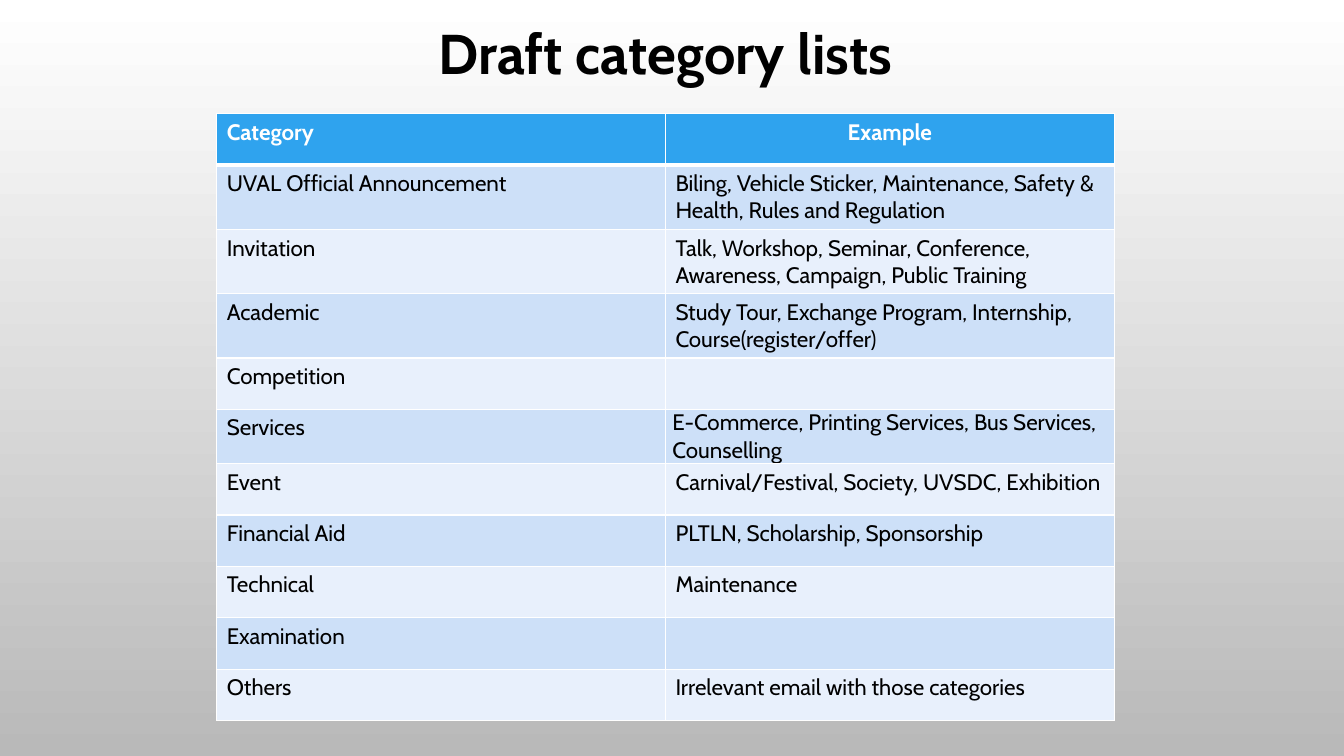
from lxml import etree
from pptx import Presentation
from pptx.dml.color import RGBColor
from pptx.enum.text import MSO_ANCHOR, PP_ALIGN
from pptx.oxml.ns import qn
from pptx.util import Inches, Pt

CENTER, LEFT, MIDDLE = PP_ALIGN.CENTER, PP_ALIGN.LEFT, MSO_ANCHOR.MIDDLE

# Content
TITLE = "Draft category lists"
ROWS = [
    ("Category", "Example"),
    ("UVAL Official Announcement",
     "Biling, Vehicle Sticker, Maintenance, Safety & Health, Rules and Regulation"),
    ("Invitation",
     "Talk, Workshop, Seminar, Conference, Awareness, Campaign, Public Training"),
    ("Academic", "Study Tour, Exchange Program, Internship, Course(register/offer)"),
    ("Competition", ""),
    ("Services", "E-Commerce, Printing Services, Bus Services, Counselling"),
    ("Event", "Carnival/Festival, Society, UVSDC, Exhibition"),
    ("Financial Aid", "PLTLN, Scholarship, Sponsorship"),
    ("Technical", "Maintenance"),
    ("Examination", ""),
    ("Others", "Irrelevant email with those categories"),
]
TALL_ROWS = (1, 2, 3)
TIGHT_CELL = (5, 1)

# Style
WIDTH, HEIGHT = 13.33, 7.5
LEFT_EDGE, TOP_EDGE, COL_WIDTH = 2.15, 1.13, 4.45
ROW_HEIGHT, TALL_HEIGHT = 0.51, 0.6
HEADER_FILL, BANDS = "2FA3EE", ("E8F0FC", "CDE0F8")
HEADER_FONT = {"name": "Cabin", "size": Pt(16), "bold": True}
BODY_FONT = {**HEADER_FONT, "bold": False}
TITLE_FONT = {**HEADER_FONT, "size": Pt(40)}
TIGHT_MARGINS = {"margin_left": Inches(0.07), "margin_right": Inches(0.07),
                 "margin_top": 0, "margin_bottom": 0}


def rgb(color):
    return RGBColor.from_string(color)


def set_all(target, values):
    for name, value in values.items():
        setattr(target, name, value)


def write(tf, text, font, color, align):
    p = tf.paragraphs[0]
    p.alignment = align
    if text:
        r = p.add_run()
        r.text = text
        set_all(r.font, font)
        r.font.color.rgb = rgb(color)


def add_borders(cell, bottom):
    tc_pr = cell._tc.get_or_add_tcPr()
    widths = {"lnL": 1, "lnR": 1, "lnT": 1, "lnB": bottom}
    for i, (side, width) in enumerate(widths.items()):
        ln = etree.Element(qn("a:" + side), w=str(Pt(width)))
        fill = etree.SubElement(ln, qn("a:solidFill"))
        etree.SubElement(fill, qn("a:srgbClr"), val="FFFFFF")
        tc_pr.insert(i, ln)


prs = Presentation()
prs.slide_width, prs.slide_height = Inches(WIDTH), Inches(HEIGHT)
s = prs.slides.add_slide(prs.slide_layouts[5])

# Background gradient, top to bottom
bg = s.background.fill
bg.gradient()
bg.gradient_angle = 270
for stop, color, position in zip(bg.gradient_stops, ("FFFFFF", "B9B9B9"), (0, 1)):
    stop.color.rgb = rgb(color)
    stop.position = position

# Title
title = s.shapes.title
set_all(title, {"left": Inches(3.42), "top": Inches(0.13),
                "width": Inches(6.36), "height": Inches(0.77)})
title.text_frame.vertical_anchor = MIDDLE
write(title.text_frame, TITLE, TITLE_FONT, "000000", CENTER)

# Category table
heights = [TALL_HEIGHT if i in TALL_ROWS else ROW_HEIGHT for i in range(len(ROWS))]
table = s.shapes.add_table(
    len(ROWS), 2, Inches(LEFT_EDGE), Inches(TOP_EDGE),
    Inches(2 * COL_WIDTH), Inches(sum(heights))).table
for column in table.columns:
    column.width = Inches(COL_WIDTH)
for i, (texts, height) in enumerate(zip(ROWS, heights)):
    table.rows[i].height = Inches(height)
    header = i == 0
    for j, text in enumerate(texts):
        cell = table.cell(i, j)
        cell.fill.solid()
        cell.fill.fore_color.rgb = rgb(HEADER_FILL if header else BANDS[i % 2])
        add_borders(cell, 3 if header else 1)
        if (i, j) == TIGHT_CELL:
            set_all(cell, TIGHT_MARGINS)
        write(cell.text_frame, text, HEADER_FONT if header else BODY_FONT,
              "FFFFFF" if header else "000000", CENTER if header and j else LEFT)

prs.save("out.pptx")
